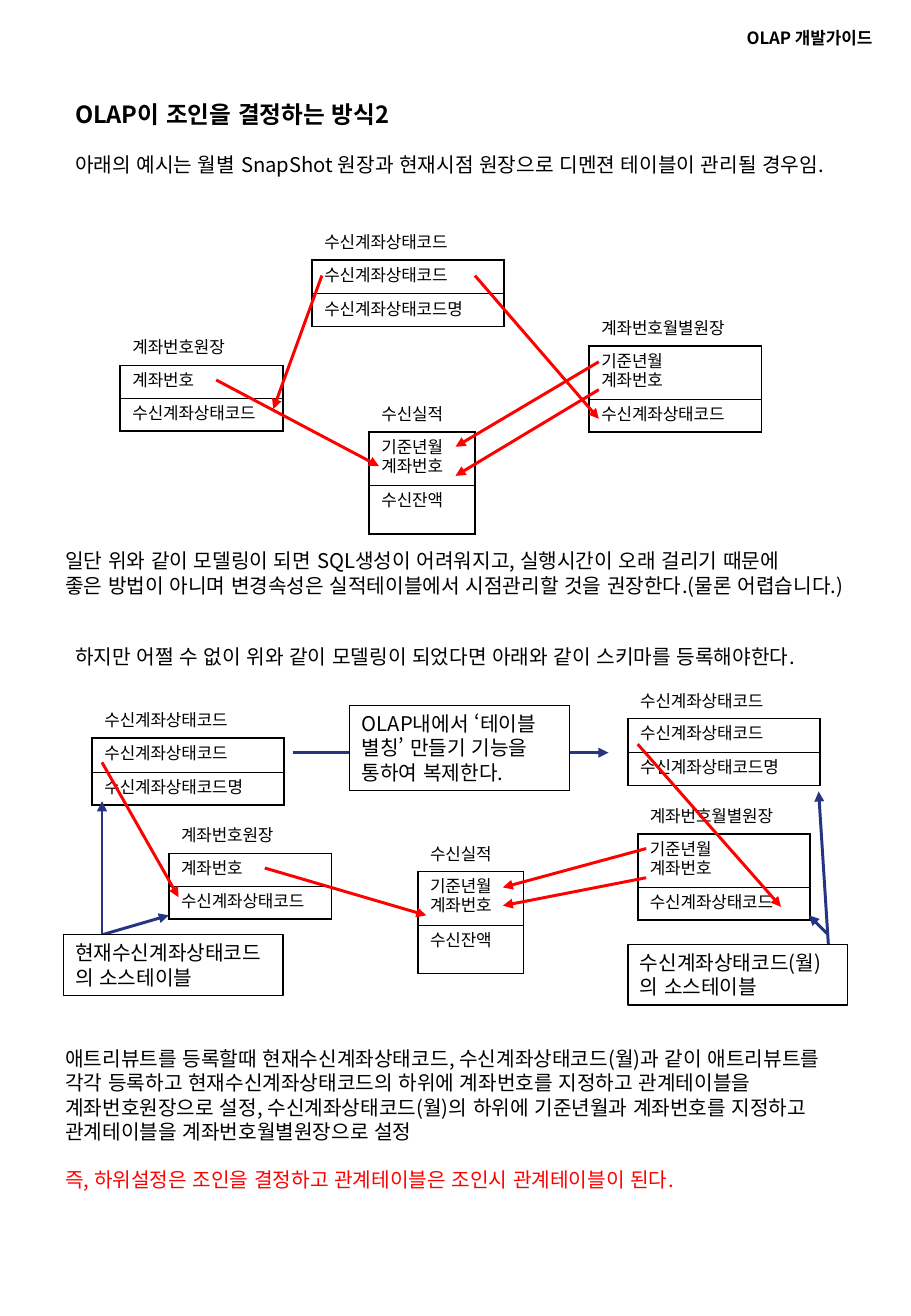
from lxml import etree
from pptx import Presentation
from pptx.dml.color import RGBColor
from pptx.enum import lang, shapes, text
from pptx.oxml.ns import qn
from pptx.util import Inches, Pt

HUES = {"ink": "000000", "paper": "FFFFFF", "red": "FF0000", "navy": "263582"}
SANS, ARIAL = "Noto Sans CJK KR", "Arial"

STATE = (1.58, [(0.27, "수신계좌상태코드"), (0.28, "수신계좌상태코드"), (0.27, "수신계좌상태코드명")])
LEDGER = (1.34, [(0.27, "계좌번호원장"), (0.27, "계좌번호"), (0.27, "수신계좌상태코드")])
MONTHLY = (1.42, [(0.27, "계좌번호월별원장"), (0.44, "기준년월\n계좌번호"), (0.27, "수신계좌상태코드")])
RESULT = (0.87, [(0.27, "수신실적"), (0.44, "기준년월\n계좌번호"), (0.4, "수신잔액")])

TABLES = [
    (RESULT, 3.04, 3.29), (MONTHLY, 4.85, 2.58), (LEDGER, 0.99, 2.74), (STATE, 2.57, 1.87),
    (RESULT, 3.44, 6.91), (MONTHLY, 5.25, 6.6), (LEDGER, 1.39, 6.76), (STATE, 0.76, 5.81),
    (STATE, 5.17, 5.65),
]

ARROWS = {
    "red": [
        (3.91, 2.27, 4.93, 3.45), (4.93, 3.21, 3.75, 3.92), (2.65, 2.27, 2.25, 3.37),
        (1.78, 3.13, 3.12, 3.84), (4.93, 2.98, 3.75, 3.68), (5.25, 6.13, 6.43, 7.47),
        (5.32, 7.23, 4.14, 7.46), (0.84, 6.28, 1.47, 7.39), (2.18, 7.15, 3.51, 7.54),
        (5.32, 6.99, 4.14, 7.31),
    ],
    "navy": [
        (2.41, 6.2, 5.01, 6.2), (0.84, 7.7, 0.84, 6.6), (0.84, 7.7, 1.39, 7.54),
        (6.82, 7.78, 6.74, 6.52), (6.82, 7.7, 6.66, 7.54),
    ],
}

NOTES = [
    (2.88, 5.81, 0.7, "OLAP내에서 ‘테이블 별칭’ 만들기 기능을 통하여 복제한다."),
    (0.52, 7.7, 0.5, "현재수신계좌상태코드의 소스테이블"),
    (5.17, 7.78, 0.5, "수신계좌상태코드(월)의 소스테이블"),
]

HEAD = "OLAP 개발가이드"
TEXTS = [
    (0.52, 0.77, 0.74, [
        ("OLAP이 조인을 결정하는 방식2", {"size": 14, "bold": True}),
        ("아래의 예시는 월별 SnapShot 원장과 현재시점 원장으로 디멘젼 테이블이 관리될 경우임.",
         {"gap": 14.4})]),
    (0.44, 4.47, 0.7, [
        ("일단 위와 같이 모델링이 되면 SQL생성이 어려워지고, 실행시간이 오래 걸리기 때문에", {}),
        ("좋은 방법이 아니며 변경속성은 실적테이블에서 시점관리할 것을 권장한다.(물론 어렵습니다.)", {})]),
    (0.52, 5.26, 0.3, [
        ("하지만 어쩔 수 없이 위와 같이 모델링이 되었다면 아래와 같이 스키마를 등록해야한다.", {})]),
    (0.44, 8.57, 1.3, [
        ("애트리뷰트를 등록할때 현재수신계좌상태코드, 수신계좌상태코드(월)과 같이 "
         "애트리뷰트를 각각 등록하고 현재수신계좌상태코드의 하위에 계좌번호를 지정하고 "
         "관계테이블을 계좌번호원장으로 설정, 수신계좌상태코드(월)의 하위에 기준년월과 "
         "계좌번호를 지정하고 관계테이블을 계좌번호월별원장으로 설정", {}),
        ("즉, 하위설정은 조인을 결정하고 관계테이블은 조인시 관계테이블이 된다.",
         {"hue": "red", "gap": 14.4})]),
]


def color(hue):
    return RGBColor.from_string(HUES[hue])


def style(para, face=SANS, size=12, bold=False, hue="ink", gap=0, pitch=1.2):
    para.alignment = text.PP_ALIGN.LEFT
    para.space_before = Pt(gap)
    if pitch:
        para.line_spacing = Pt(size * pitch)
    font = para.font
    font.size, font.bold, font.name = Pt(size), bold, face
    font.color.rgb = color(hue)
    font.language_id = lang.MSO_LANGUAGE_ID.KOREAN
    latin = font._element.find(qn("a:latin"))
    latin.addnext(latin.makeelement(qn("a:ea"), {"typeface": face}))


def write(frame, paras, wrap=True):
    frame.word_wrap = wrap
    frame.vertical_anchor = text.MSO_ANCHOR.TOP
    frame.text = "\n".join(line for line, _ in paras)
    for para, (_, look) in zip(frame.paragraphs, paras):
        style(para, **look)


def edge(cell, side, hue, width):
    props = cell._tc.get_or_add_tcPr()
    line = etree.SubElement(props, qn("a:ln" + side), w=str(Pt(width)))
    fill = etree.SubElement(line, qn("a:solidFill"))
    etree.SubElement(fill, qn("a:srgbClr"), val=HUES[hue])


def add_grid(slide, kind, left, top):
    width, rows = kind
    high = sum(tall for tall, _ in rows)
    box = [Inches(v) for v in (left, top, width, high)]
    grid = slide.shapes.add_table(len(rows), 1, *box).table
    grid.first_row = grid.horz_banding = False
    pale, thick, thin = ("paper", 0.45), ("ink", 1.08), ("ink", 0.45)
    edges = [(pale, pale, pale, thick), (thick, thick, thick, thin), (thick, thick, thin, thick)]
    for i, (tall, words) in enumerate(rows):
        grid.rows[i].height = Inches(tall)
        cell = grid.cell(i, 0)
        cell.text = words
        for para in cell.text_frame.paragraphs:
            style(para, face=ARIAL, size=10, pitch=None)
        for side, look in zip("LRTB", edges[i]):
            edge(cell, side, *look)
        cell.fill.background()


def add_arrow(slide, hue, ends):
    arrow = slide.shapes.add_connector(shapes.MSO_CONNECTOR.STRAIGHT, *map(Inches, ends))
    arrow.line.color.rgb = color(hue)
    arrow.line.width = Pt(1.75)
    etree.SubElement(arrow.line._get_or_add_ln(), qn("a:tailEnd"), type="triangle")
    etree.SubElement(arrow._element.spPr, qn("a:effectLst"))


def add_note(slide, left, top, high, words):
    box = [Inches(v) for v in (left, top, 1.81, high)]
    note = slide.shapes.add_shape(shapes.MSO_SHAPE.RECTANGLE, *box)
    note.shadow.inherit = False
    note.fill.solid()
    note.fill.fore_color.rgb = color("paper")
    note.line.color.rgb = color("ink")
    note.line.width = Pt(0.75)
    write(note.text_frame, [(words, {})])


def main():
    """Build the join guide page."""
    deck = Presentation()
    deck.slide_width, deck.slide_height = Inches(7.5), Inches(10.84)
    slide = deck.slides.add_slide(deck.slide_layouts[6])
    head = slide.shapes.add_textbox(*map(Inches, (6.01, 0.2, 1.27, 0.24))).text_frame
    write(head, [(HEAD, {"size": 10, "bold": True, "pitch": 1.05})], wrap=False)
    head.paragraphs[0].alignment = text.PP_ALIGN.RIGHT
    for left, top, high, paras in TEXTS:
        box = slide.shapes.add_textbox(*map(Inches, (left, top, 6.63, high)))
        write(box.text_frame, paras)
    for spot in TABLES:
        add_grid(slide, *spot)
    for hue, group in ARROWS.items():
        for ends in group:
            add_arrow(slide, hue, ends)
    for note in NOTES:
        add_note(slide, *note)
    deck.save("out.pptx")


if __name__ == "__main__":
    main()
